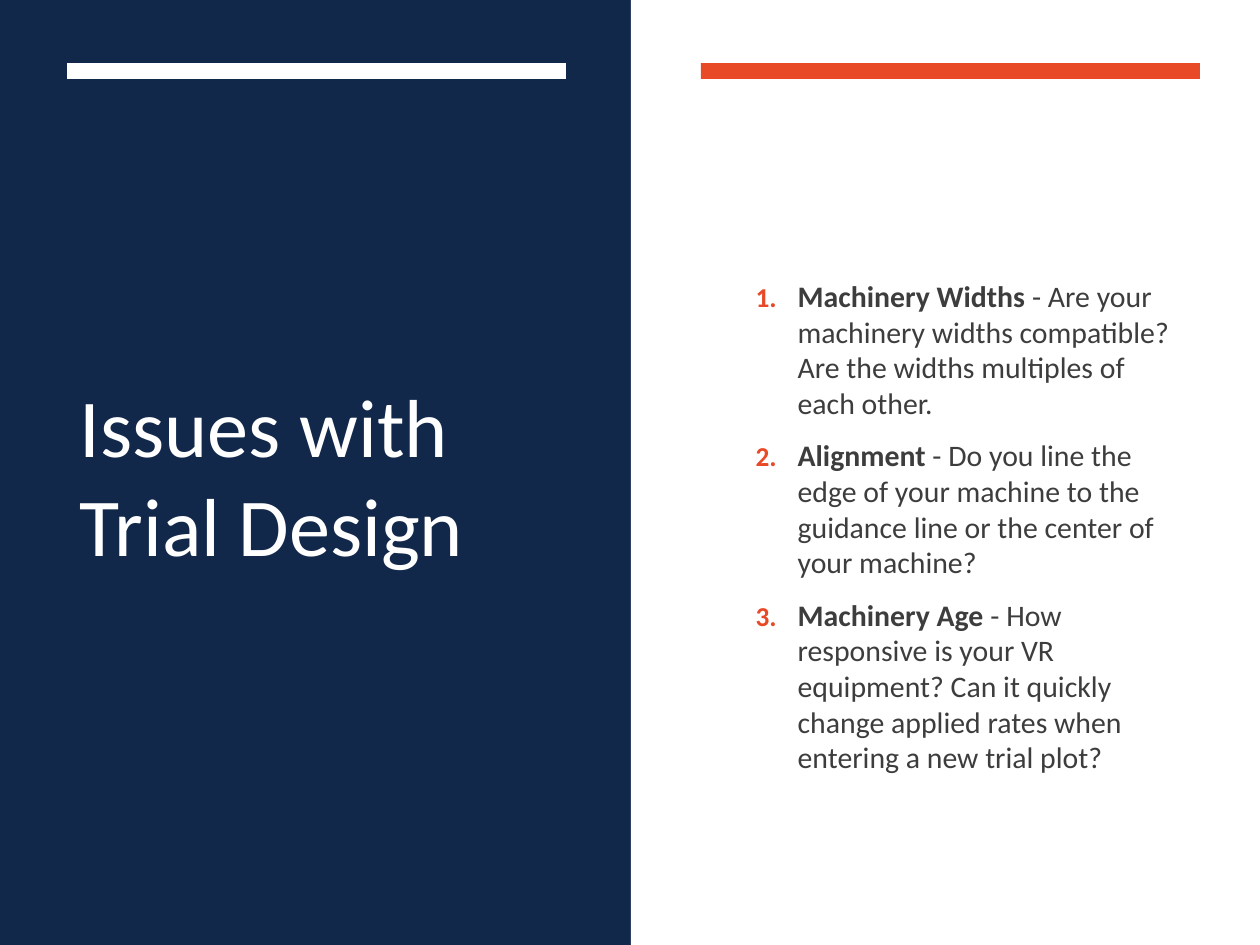
from lxml import etree
from pptx import Presentation
from pptx import util as u
from pptx.dml import color
from pptx.enum import shapes, text
from pptx.oxml import ns

SCALE = 914400 // 126
NAVY, ORANGE, WHITE, GRAY = "12284B", "E84927", "FFFFFF", "3D3D3D"
FONT = "Calibri"

ISSUES = [
    ("Machinery Widths", " - Are your machinery widths compatible? Are the widths multiples of each other."),
    ("Alignment", " - Do you line the edge of your machine to the guidance line or the center of your machine?"),
    ("Machinery Age", " - How responsive is your VR equipment? Can it quickly change applied rates when entering a new trial plot?"),
]


def px(length):
    return u.Emu(length * SCALE)


def rgb(value):
    return color.RGBColor.from_string(value)


def add_rect(page, box, fill):
    rect = page.shapes.add_shape(shapes.MSO_SHAPE.RECTANGLE, *map(px, box))
    rect.shadow.inherit = False
    rect.fill.solid()
    rect.fill.fore_color.rgb = rgb(fill)
    rect.line.fill.background()


def add_span(para, words, size, fill, bold=False):
    span = para.add_run()
    span.text = words
    span.font.name = FONT
    span.font.size = u.Pt(size)
    span.font.bold = bold
    span.font.color.rgb = rgb(fill)


def place_text(holder, box):
    holder.left, holder.top, holder.width, holder.height = map(px, box)
    holder.element.getparent().append(holder.element)
    frame = holder.text_frame
    frame.word_wrap = True
    frame.auto_size = text.MSO_AUTO_SIZE.NONE
    frame.vertical_anchor = text.MSO_ANCHOR.MIDDLE
    return frame


def number_para(para, fill):
    props = para._p.get_or_add_pPr()
    props.set("marL", str(px(87)))
    props.set("indent", str(-px(42)))
    bullet_color = etree.SubElement(props, ns.qn("a:buClr"))
    etree.SubElement(bullet_color, ns.qn("a:srgbClr"), val=fill)
    etree.SubElement(props, ns.qn("a:buSzPct"), val="92000")
    etree.SubElement(props, ns.qn("a:buFont"), typeface="+mj-lt")
    etree.SubElement(props, ns.qn("a:buAutoNum"), type="arabicPeriod")


def add_title_panel(page, box, words):
    left, top, width, height = box
    add_rect(page, box, NAVY)
    add_rect(page, (left + 67, top + 63, 499, 16), WHITE)
    frame = place_text(page.shapes.title, (left + 67, top + 142, 499, 665))
    para = frame.paragraphs[0]
    para.alignment = text.PP_ALIGN.LEFT
    add_span(para, words, 47, WHITE)


def add_issue_panel(page, box, issues):
    left, top, width, height = box
    add_rect(page, box, WHITE)
    add_rect(page, (left + 70, top + 63, 499, 16), ORANGE)
    frame = place_text(page.placeholders[1], (left + 67, top + 142, 502, 665))
    frame.margin_top = px(110)
    for index, (name, question) in enumerate(issues):
        para = frame.add_paragraph() if index else frame.paragraphs[0]
        para.level = 1
        para.space_before = u.Pt(3.4)
        para.space_after = u.Pt(6)
        number_para(para, ORANGE)
        add_span(para, name, 17, GRAY, bold=True)
        add_span(para, question, 17, GRAY)


def main():
    deck = Presentation()
    deck.slide_width, deck.slide_height = px(1260), px(945)
    page = deck.slides.add_slide(deck.slide_layouts[1])
    add_title_panel(page, (0, 0, 631, 945), "Issues with Trial Design")
    add_issue_panel(page, (631, 0, 629, 945), ISSUES)
    deck.save("out.pptx")


if __name__ == "__main__":
    main()
